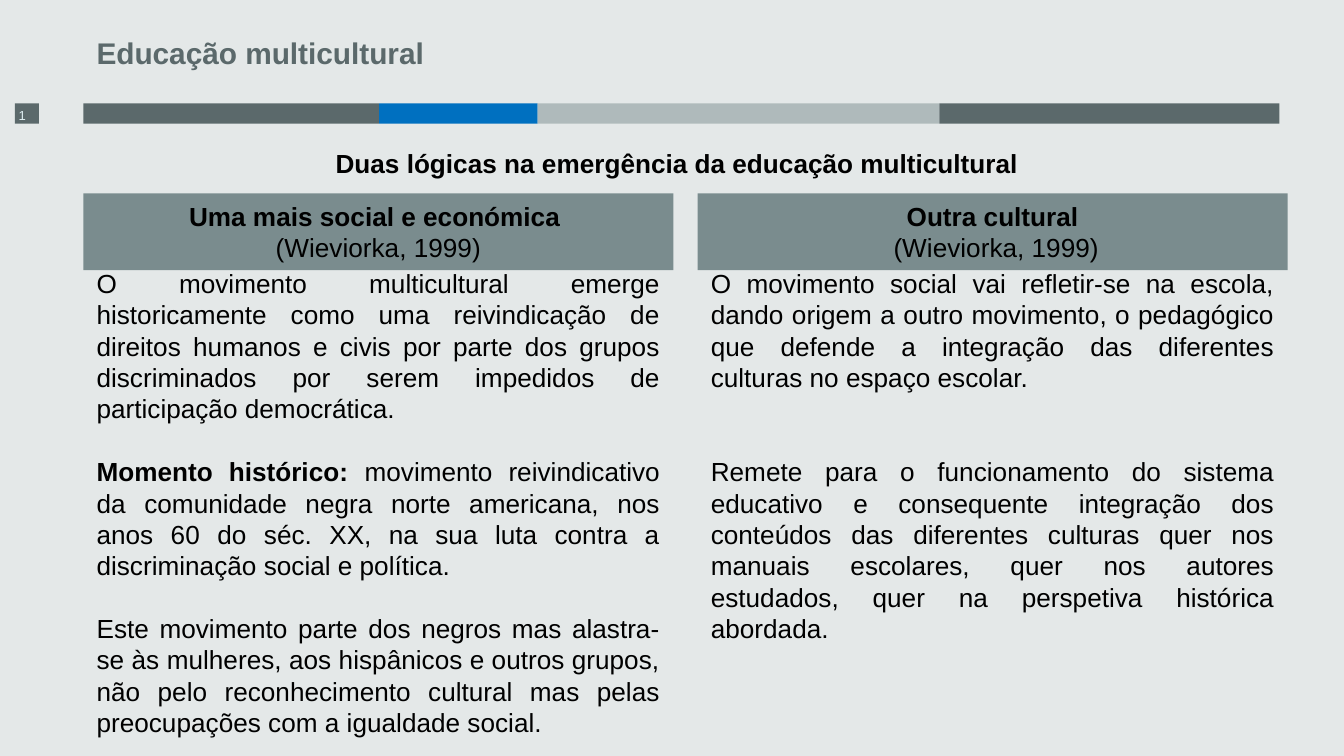
"""Build the multicultural education slide."""
from pptx import Presentation
from pptx.dml.color import RGBColor
from pptx.enum import shapes, text
from pptx.util import Inches, Pt

BACK = RGBColor(0xE4, 0xE8, 0xE8)
SLATE = RGBColor(0x5B, 0x69, 0x6B)
SILVER = RGBColor(0xAF, 0xBA, 0xBB)
BLUE = RGBColor(0x00, 0x70, 0xC0)
HEAD = RGBColor(0x7A, 0x8C, 0x8E)
PALE = RGBColor(0xDD, 0xED, 0xF0)
BLACK = RGBColor(0, 0, 0)
LEFT, CENTER, JUSTIFY = (
    text.PP_ALIGN.LEFT, text.PP_ALIGN.CENTER, text.PP_ALIGN.JUSTIFY)
LINE = 16.8


def write(sp, paras, size=14, color=BLACK, align=LEFT,
          anchor=text.MSO_ANCHOR.TOP):
    """Fill a shape with paragraphs given as (blank lines before, runs)."""
    tf = sp.text_frame
    for name, value in {"word_wrap": True, "vertical_anchor": anchor}.items():
        setattr(tf, name, value)
    for i, (gap, runs) in enumerate(paras):
        p = tf.paragraphs[0] if i == 0 else tf.add_paragraph()
        fmt = {"alignment": align, "space_before": Pt(gap * LINE)}
        for name, value in fmt.items():
            setattr(p, name, value)
        for words, bold in runs:
            r = p.add_run()
            r.text = words
            r.font.color.rgb = color
            for name, value in {"name": "Arial", "size": Pt(size),
                                "bold": bold}.items():
                setattr(r.font, name, value)


def add_text(s, box, paras, **fmt):
    """Add a text box at the given box."""
    write(s.shapes.add_textbox(*map(Inches, box)), paras, **fmt)


def add_bar(s, box, color):
    """Add a plain filled rectangle."""
    sp = s.shapes.add_shape(
        shapes.MSO_SHAPE.RECTANGLE, *map(Inches, box))
    sp.shadow.inherit = False
    sp.fill.solid()
    sp.fill.fore_color.rgb = color
    sp.line.fill.background()
    return sp


def add_band(s, x, y, h):
    """Add the coloured band with the slide number tab before it."""
    add_bar(s, (x - 0.51, y + 0.02, 0.18, h), SLATE)
    add_text(s, (x - 0.58, y, 0.47, 0.31), [(0, [("1", False)])],
             size=7, color=PALE)
    for w, color in ((2.2, SLATE), (1.18, BLUE), (2.99, SILVER),
                     (2.53, SLATE)):
        add_bar(s, (x, y + 0.02, w, h), color)
        x += w


def add_column(s, x, y, w, h, heading, source, paras):
    """Add a column with a heading block and justified text below it."""
    sp = add_bar(s, (x, y, w, 0.57), HEAD)
    write(sp, [(0, [(heading, True)]), (0, source)],
          align=CENTER, anchor=text.MSO_ANCHOR.MIDDLE)
    add_text(s, (x, y + 0.5, w, h), paras, align=JUSTIFY)


SOURCE = ("(Wieviorka, 1999)", False)
SOCIAL = [
    (0, [("O movimento multicultural emerge historicamente como uma "
          "reivindicação de direitos humanos e civis por parte dos grupos "
          "discriminados por serem impedidos de participação democrática.",
          False)]),
    (1, [("Momento histórico: ", True),
         ("movimento reivindicativo da comunidade negra norte americana, "
          "nos anos 60 do séc. XX, na sua luta contra a discriminação social "
          "e política. ", False)]),
    (1, [("Este movimento parte dos negros mas alastra-se às mulheres, aos "
          "hispânicos e outros grupos, não pelo reconhecimento cultural mas "
          "pelas preocupações com a igualdade social. ", False)]),
]
CULTURAL = [
    (0, [("O movimento social vai refletir-se na escola, dando origem a "
          "outro movimento, o pedagógico que defende a integração das "
          "diferentes culturas no espaço escolar. ", False)]),
    (2, [("Remete para o funcionamento do sistema educativo e consequente "
          "integração dos conteúdos das diferentes culturas quer nos manuais "
          "escolares, quer nos autores estudados, quer na perspetiva "
          "histórica abordada. ", False)]),
]


def build():
    """Build and save the slide."""
    prs = Presentation()
    prs.slide_width, prs.slide_height = Inches(10), Inches(10 * 9 / 16)
    s = prs.slides.add_slide(prs.slide_layouts[6])
    s.background.fill.solid()
    s.background.fill.fore_color.rgb = BACK
    add_band(s, 0.62, 0.75, 0.15)
    add_text(s, (0.62, 0.21, 8.9, 0.71),
             [(0, [("Educação multicultural ", True)])], size=16, color=SLATE)
    add_text(s, (0.7, 1.05, 8.73, 0.34),
             [(0, [("Duas lógicas na emergência da educação multicultural ",
                    True)])], align=CENTER)
    add_column(s, 0.62, 1.44, 4.39, 3.87, "Uma mais social e económica ",
               [SOURCE], SOCIAL)
    add_column(s, 5.19, 1.44, 4.39, 2.69, "Outra cultural",
               [(" ", True), SOURCE], CULTURAL)
    prs.save("out.pptx")


build()
